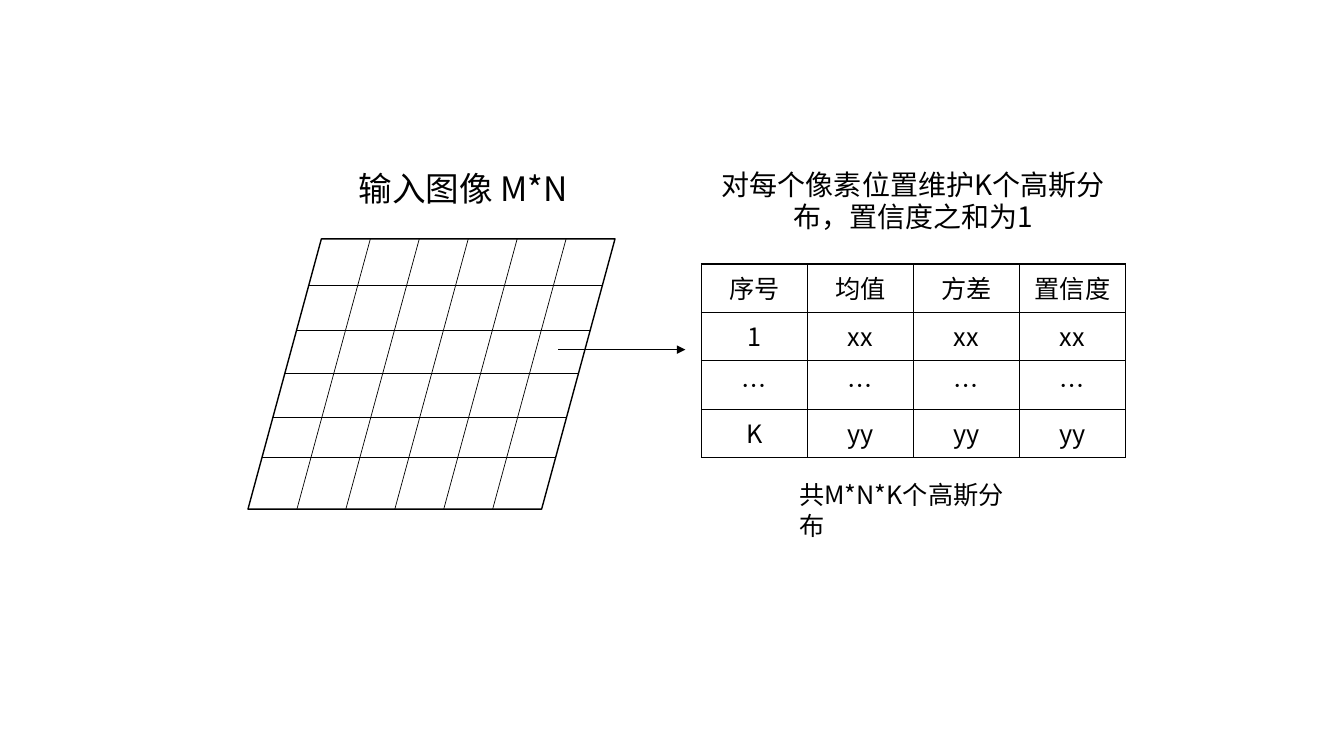
from lxml import etree
from pptx import Presentation, util as u
from pptx.dml.color import RGBColor
from pptx.enum import shapes, text
from pptx.oxml.ns import qn

# Content
FONT = "Noto Sans CJK SC"
BLACK = RGBColor(0, 0, 0)
WHITE = RGBColor(255, 255, 255)
LEFT, CENTER = text.PP_ALIGN.LEFT, text.PP_ALIGN.CENTER

# wording, (left, top, width, height) in cm, size and line height in pt, alignment
captions = [
    ("输入图像 M*N", (8.79, 4.14, 6.1, 1.27), 24, 28, LEFT),
    ("对每个像素位置维护K个高斯分布，置信度之和为1", (17.68, 4.14, 10.67, 1.96), 20, 23, CENTER),
    ("共M*N*K个高斯分布", (19.89, 11.94, 6.27, 1.02), 18, 22, LEFT),
]
gaussians = [
    ("序号", "均值", "方差", "置信度"),
    ("1", "xx", "xx", "xx"),
    ("…", "…", "…", "…"),
    ("K", "yy", "yy", "yy"),
]
table_left, table_top, column_width, row_height = 17.68, 6.65, 2.67, 1.22

# Pixel grid: a parallelogram whose slant is a fifth of its width
grid_left, grid_top, grid_width, grid_height = 6.25, 6.02, 9.25, 6.81
slant = grid_width / 5
edge = grid_width - slant
grid_columns = 6
row_offsets = (1.17, 2.31, 3.4, 4.5, 5.51)

prs = Presentation()
prs.slide_width, prs.slide_height = u.Cm(33.87), u.Cm(19.05)
slide = prs.slides.add_slide(prs.slide_layouts[6])


def write(frame, words, size, align):
    paragraph = frame.paragraphs[0]
    paragraph.alignment = align
    run = paragraph.add_run()
    run.text = words
    run.font.size, run.font.name = u.Pt(size), FONT
    run.font.color.rgb = BLACK
    etree.SubElement(run.font._element, qn("a:ea"), typeface=FONT)
    return paragraph


def draw_line(x1, y1, x2, y2):
    line = slide.shapes.add_connector(
        shapes.MSO_CONNECTOR.STRAIGHT, *(u.Cm(v) for v in (x1, y1, x2, y2)))
    line.line.color.rgb, line.line.width = BLACK, u.Pt(0.5)
    etree.SubElement(line._element.spPr, qn("a:effectLst"))
    return line


# Input image
image = slide.shapes.add_shape(
    shapes.MSO_SHAPE.FLOWCHART_DATA,
    *(u.Cm(v) for v in (grid_left, grid_top, grid_width, grid_height)))
image.shadow.inherit = False
image.fill.solid()
image.fill.fore_color.rgb = WHITE
image.line.color.rgb, image.line.width = BLACK, u.Pt(1)

for offset in row_offsets:
    x = grid_left + slant * (1 - offset / grid_height)
    draw_line(x, grid_top + offset, x + edge, grid_top + offset)
for column in range(1, grid_columns):
    x = grid_left + edge * column / grid_columns
    draw_line(x + slant, grid_top, x, grid_top + grid_height)

# Arrow from one pixel to its distributions
arrow = draw_line(14.07, 8.81, 17.27, 8.81)
etree.SubElement(arrow.line._get_or_add_ln(), qn("a:tailEnd"), type="triangle")

# Table of distributions
table = slide.shapes.add_table(
    len(gaussians), len(gaussians[0]), u.Cm(table_left), u.Cm(table_top),
    u.Cm(column_width * len(gaussians[0])), u.Cm(row_height * len(gaussians))).table
table.first_row = table.horz_banding = False
for column in table.columns:
    column.width = u.Cm(column_width)
for row, values in zip(table.rows, gaussians):
    row.height = u.Cm(row_height)
    for cell, value in zip(row.cells, values):
        write(cell.text_frame, value, 18, CENTER)
        properties = cell._tc.get_or_add_tcPr()
        for side in ("lnL", "lnR", "lnT", "lnB"):
            border = etree.SubElement(properties, qn("a:" + side), w=str(u.Pt(1)))
            solid = etree.SubElement(border, qn("a:solidFill"))
            etree.SubElement(solid, qn("a:srgbClr"), val=str(BLACK))
        cell.fill.background()

# Captions
for words, box, size, line_height, align in captions:
    frame = slide.shapes.add_textbox(*(u.Cm(v) for v in box)).text_frame
    frame.word_wrap = True
    write(frame, words, size, align).line_spacing = u.Pt(line_height)

prs.save("out.pptx")
